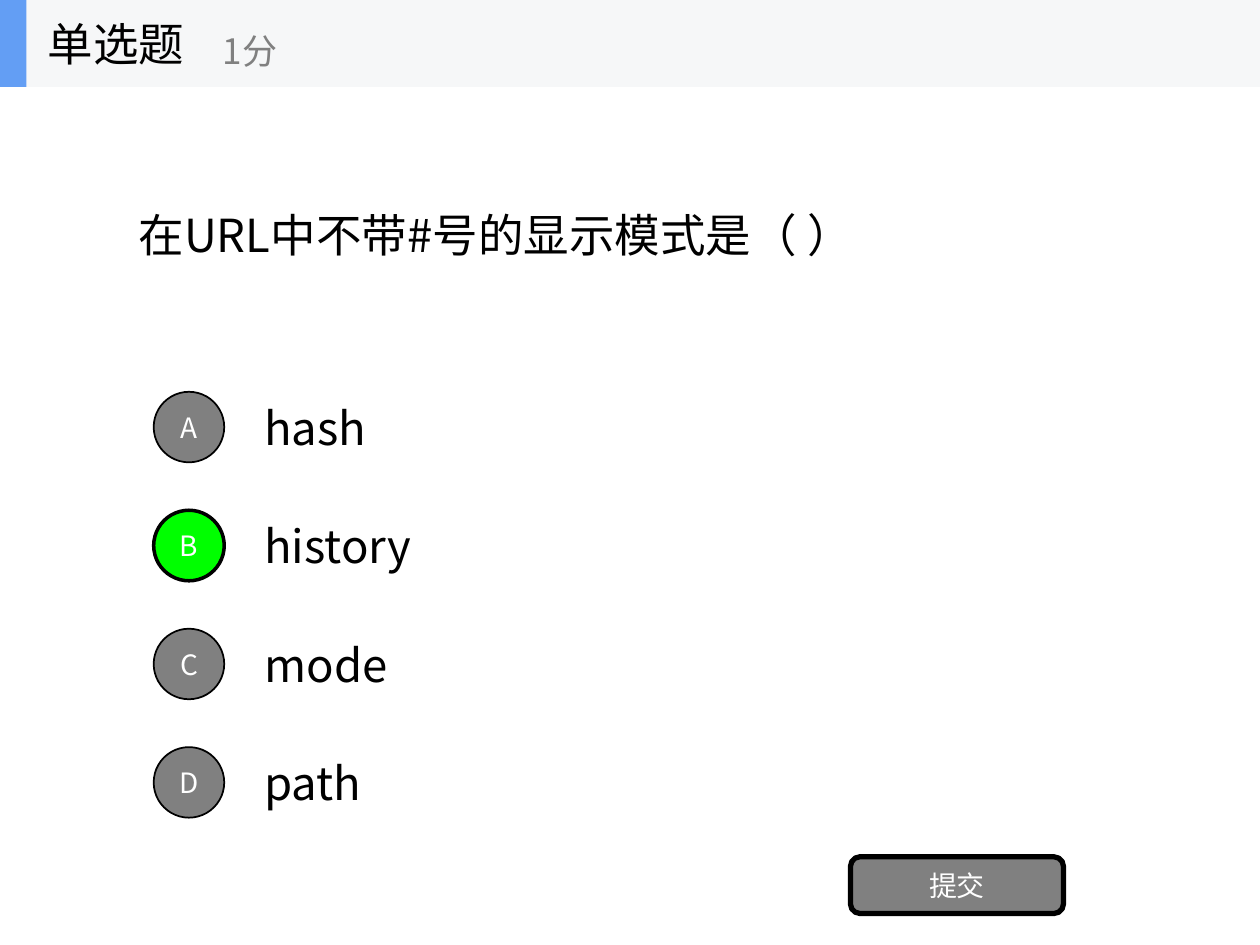
from dataclasses import dataclass

from lxml import etree
from pptx import Presentation
from pptx import util as u
from pptx.dml.color import RGBColor
from pptx.enum import shapes, text
from pptx.oxml.ns import qn


@dataclass(frozen=True)
class Theme:
    font: str = "Noto Sans CJK SC"
    black: str = "000000"
    white: str = "FFFFFF"
    grey: str = "808080"
    correct: str = "00FF00"
    band: str = "F6F7F8"
    accent: str = "639EF4"
    main_size: int = 26
    score_size: int = 20
    button_size: int = 16


class QuizSlide:
    def __init__(self, page, theme):
        self.page = page
        self.theme = theme

    def fill_text(self, shape, words, size, color, align=text.PP_ALIGN.LEFT, inset=0.1):
        frame = shape.text_frame
        frame_format = {
            "word_wrap": True,
            "auto_size": text.MSO_AUTO_SIZE.NONE,
            "vertical_anchor": text.MSO_ANCHOR.MIDDLE,
            "margin_left": u.Inches(inset),
            "margin_right": u.Inches(inset),
        }
        for name, value in frame_format.items():
            setattr(frame, name, value)
        para = frame.paragraphs[0]
        para.alignment = align
        span = para.add_run()
        span.text = words
        for name, value in {"name": self.theme.font, "size": u.Pt(size)}.items():
            setattr(span.font, name, value)
        span.font.color.rgb = RGBColor.from_string(color)
        east_asian = etree.SubElement(span.font._element, qn("a:ea"))
        east_asian.set("typeface", self.theme.font)

    def question(self, words, *place):
        title = self.page.shapes.title
        for name, value in zip(("left", "top", "width", "height"), place):
            setattr(title, name, u.Inches(value))
        self.fill_text(title, words, self.theme.main_size, self.theme.black)

    def label(self, words, *place, size, color, parent=None):
        box = (parent or self.page).shapes.add_textbox(*map(u.Inches, place))
        self.fill_text(box, words, size, color)

    def block(self, kind, *place, fill, parent=None):
        shape = (parent or self.page).shapes.add_shape(kind, *map(u.Inches, place))
        shape.shadow.inherit = False
        shape.fill.solid()
        shape.fill.fore_color.rgb = RGBColor.from_string(fill)
        shape.line.fill.background()
        return shape

    def button(self, kind, words, *place, fill, border):
        shape = self.block(kind, *place, fill=fill)
        shape.line.color.rgb = RGBColor.from_string(self.theme.black)
        shape.line.width = u.Pt(border)
        self.fill_text(shape, words, self.theme.button_size, self.theme.white,
                       text.PP_ALIGN.CENTER, inset=0)

    def options(self, answers, correct):
        theme = self.theme
        top, step, height, circle = 3.04, 0.94, 0.7, 0.56
        for row, answer in enumerate(answers):
            self.label(answer, 2, top + row * step, 7, height,
                       size=theme.main_size, color=theme.black)
        for row, answer in enumerate(answers):
            chosen = answer == correct
            self.button(shapes.MSO_SHAPE.OVAL, "ABCD"[row],
                        1.22, top + row * step + (height - circle) / 2, circle, circle,
                        fill=theme.correct if chosen else theme.grey,
                        border=2 if chosen else 1)

    def header(self, heading, score):
        theme = self.theme
        height = 0.69
        group = self.page.shapes.add_group_shape()
        for width, fill in ((10, theme.band), (0.21, theme.accent)):
            self.block(shapes.MSO_SHAPE.RECTANGLE, 0, 0, width, height,
                       fill=fill, parent=group)
        self.label(heading, 0.28, 0, 2.08, height,
                   size=theme.main_size, color=theme.black, parent=group)
        self.label(score, 1.67, 0.12, 2.5, 0.56,
                   size=theme.score_size, color=theme.grey, parent=group)


def main():
    deck = Presentation()
    deck.slide_width, deck.slide_height = u.Inches(10), u.Inches(7.5)
    theme = Theme()
    title_only = deck.slide_layouts[5]
    quiz = QuizSlide(deck.slides.add_slide(title_only), theme)

    quiz.question("在URL中不带#号的显示模式是（ ）", 1, 0.69, 8, 2.34)
    quiz.options(["hash", "history", "mode", "path"], correct="history")
    quiz.button(shapes.MSO_SHAPE.ROUNDED_RECTANGLE, "提交", 6.75, 6.8, 1.69, 0.45,
                fill=theme.grey, border=3)
    quiz.header("单选题", "1分")
    deck.save("out.pptx")


if __name__ == "__main__":
    main()
